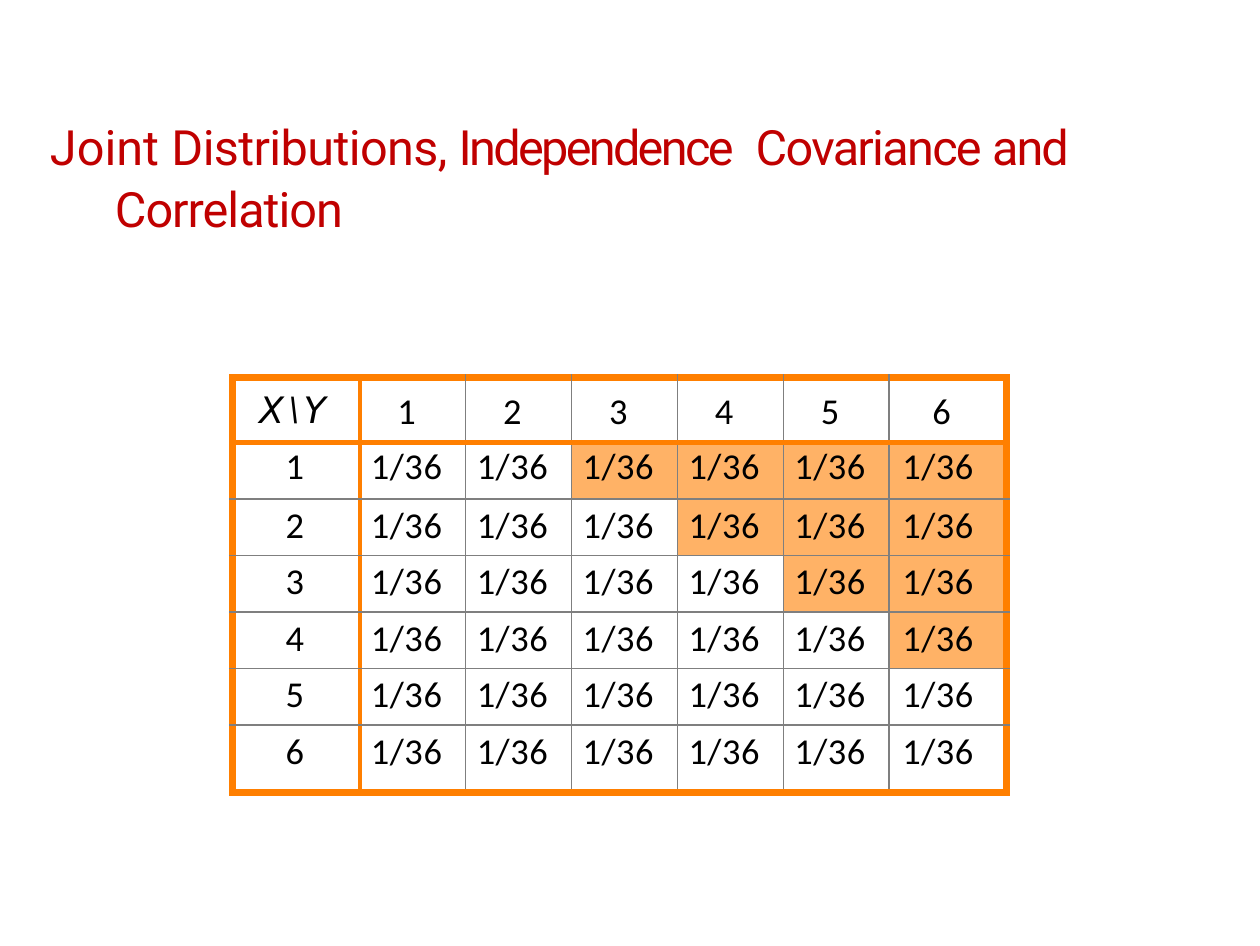
"""Build a slide with a joint distribution table for two dice."""
from lxml.etree import SubElement
from pptx import Presentation
from pptx.dml.color import RGBColor
from pptx.enum.text import MSO_ANCHOR, MSO_AUTO_SIZE, PP_ALIGN
from pptx.oxml import parse_xml
from pptx.oxml.ns import nsdecls, qn
from pptx.util import Inches, Pt

THEME = {
    "title": {"name": "Roboto", "size": 14, "color": "C00000"},
    "number": {"name": "Calibri", "size": 10.5, "color": "000000"},
    "variable": {"name": "DejaVu Sans", "size": 10.5, "color": "000000", "italic": True},
    "slash": {"name": "Arial", "size": 10.5, "color": "000000", "italic": True},
    "highlight": "FFB266",
    "frame": ("FF7F00", 2.25),
    "divider": ("FF7F00", 1.5),
    "grid": ("7F7F7F", 0.5),
}

TITLE = [
    ("Joint ", 0),
    ("Distributions, ", -0.2),
    ("Independence", -0.8),
    (" ", 2.9),
    ("Covariance ", -0.5),
    ("and ", -0.6),
    ("Correlation", -0.3),
]
CORNER = [("X", "variable"), ("\\", "slash"), ("Y", "variable")]
FACES = ["1", "2", "3", "4", "5", "6"]
PROBABILITY = "1/36"
COLUMN_WIDTHS = [0.51] + [2.12 / 5] * 5 + [0.47]
ROW_HEIGHTS = [0.26] + [1.13 / 5] * 5 + [0.27]
TOP_MARGINS = [0.05, 0.01] + [0.02] * 5
LAST = len(FACES)


def add_run(paragraph, wording, style, spacing=0):
    """Add a run in a theme style, with letter spacing in points."""
    run = paragraph.add_run()
    run.text = wording
    look = THEME[style]
    formats = {"name": look["name"], "size": Pt(look["size"]),
               "italic": look.get("italic", False)}
    for key, value in formats.items():
        setattr(run.font, key, value)
    run.font.color.rgb = RGBColor.from_string(look["color"])
    if spacing:
        run.font._element.set("spc", str(round(spacing * 100)))


def edge_style(edge):
    """Return the line colour and width of a numbered table edge."""
    if edge in (0, LAST + 1):
        return THEME["frame"]
    return THEME["divider"] if edge == 1 else THEME["grid"]


def draw_borders(cell, row, column):
    """Draw the four borders of a cell."""
    properties = cell._tc.get_or_add_tcPr()
    edges = {"lnL": column, "lnR": column + 1, "lnT": row, "lnB": row + 1}
    for position, (side, edge) in enumerate(edges.items()):
        color, width = edge_style(edge)
        line = parse_xml(f'<a:{side} {nsdecls("a")} w="{Pt(width)}"/>')
        fill = SubElement(line, qn("a:solidFill"))
        SubElement(fill, qn("a:srgbClr"), val=color)
        properties.insert(position, line)


def cell_runs(row, column):
    """Return the wording, style and spacing of each run in a cell."""
    if row and column:
        return [(PROBABILITY, "number", 0.2)]
    if row or column:
        return [(FACES[max(row, column) - 1], "number", 0)]
    return [(wording, style, 1.4) for wording, style in CORNER]


def right_margin(row, column):
    """Return the right margin that shifts centred text in a cell."""
    if column == 0:
        return 0.01 if row else 0.03
    return 0.08 if row and column == LAST else 0.05


def fill_cell(cell, row, column):
    """Set the text, fill and borders of a cell."""
    formats = {
        "margin_left": 0,
        "margin_top": Inches(TOP_MARGINS[row]),
        "margin_right": Inches(right_margin(row, column)),
        "margin_bottom": 0,
        "vertical_anchor": MSO_ANCHOR.TOP,
    }
    for key, value in formats.items():
        setattr(cell, key, value)
    paragraph = cell.text_frame.paragraphs[0]
    paragraph.alignment = PP_ALIGN.CENTER
    for wording, style, spacing in cell_runs(row, column):
        add_run(paragraph, wording, style, spacing)
    if row and column >= row + 2:
        cell.fill.solid()
        cell.fill.fore_color.rgb = RGBColor.from_string(THEME["highlight"])
    else:
        cell.fill.background()
    draw_borders(cell, row, column)


def add_title(slide):
    """Add the title with a hanging second line."""
    box = slide.shapes.add_textbox(Inches(0.18), Inches(0.45), Inches(4.25), Inches(0.48))
    formats = {"margin_left": 0, "margin_top": 0, "margin_right": 0, "margin_bottom": 0,
               "word_wrap": True, "auto_size": MSO_AUTO_SIZE.SHAPE_TO_FIT_TEXT}
    for key, value in formats.items():
        setattr(box.text_frame, key, value)
    paragraph = box.text_frame.paragraphs[0]
    paragraph.line_spacing = 1.07
    properties = paragraph._p.get_or_add_pPr()
    for key, value in {"marL": Inches(0.28), "indent": Inches(-0.26)}.items():
        properties.set(key, str(value))
    for wording, spacing in TITLE:
        add_run(paragraph, wording, "title", spacing)


def add_distribution(slide):
    """Add the table of joint probabilities."""
    table = slide.shapes.add_table(
        len(ROW_HEIGHTS), len(COLUMN_WIDTHS), Inches(0.93), Inches(1.51),
        Inches(sum(COLUMN_WIDTHS)), Inches(sum(ROW_HEIGHTS))).table
    for key in ("first_row", "horz_banding"):
        setattr(table, key, False)
    for column, width in zip(table.columns, COLUMN_WIDTHS):
        column.width = Inches(width)
    for row, height in enumerate(ROW_HEIGHTS):
        table.rows[row].height = Inches(height)
        for column in range(len(COLUMN_WIDTHS)):
            fill_cell(table.cell(row, column), row, column)


def main():
    """Build and save the slide."""
    presentation = Presentation()
    presentation.slide_width = Pt(363)
    presentation.slide_height = Pt(272.5)
    slide = presentation.slides.add_slide(presentation.slide_layouts[6])
    add_title(slide)
    add_distribution(slide)
    presentation.save("out.pptx")


if __name__ == "__main__":
    main()
